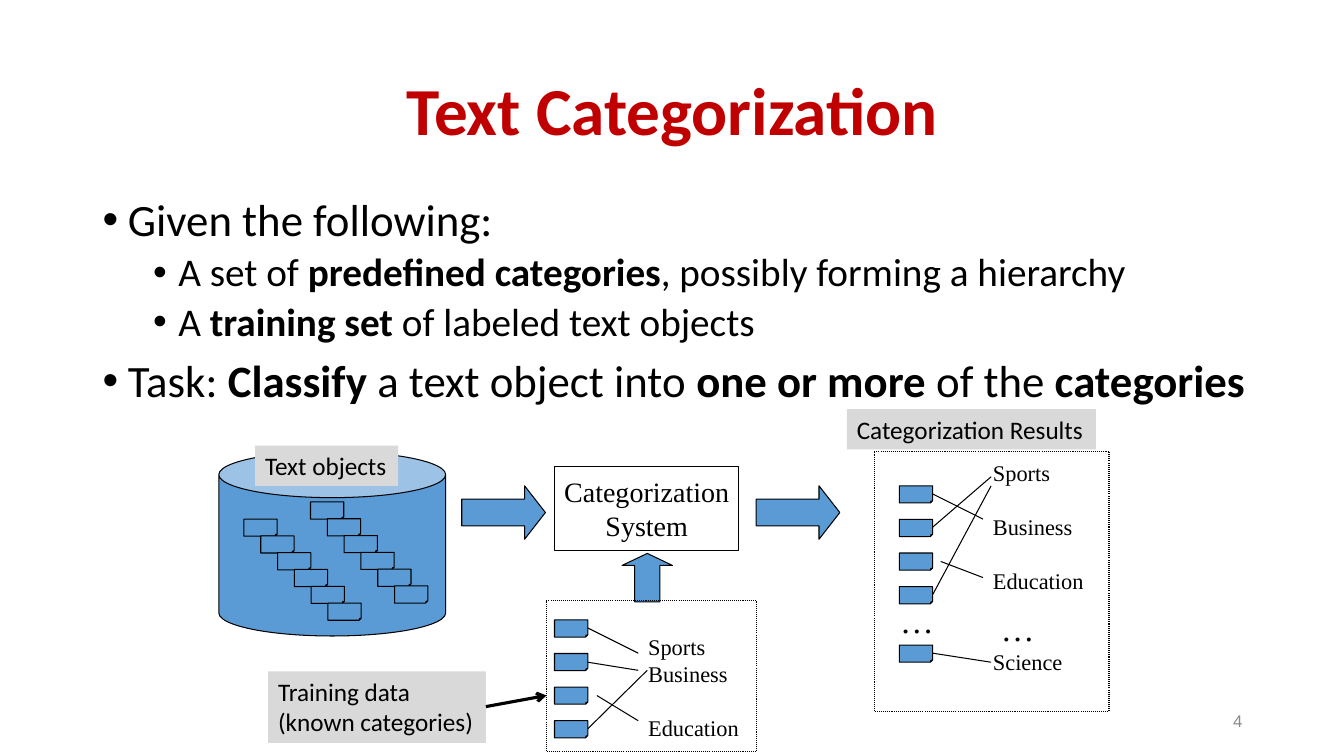
from lxml import etree
from pptx import Presentation
from pptx.dml.color import RGBColor
from pptx.enum.dml import MSO_LINE
from pptx.enum.shapes import MSO_CONNECTOR, MSO_SHAPE
from pptx.enum.text import MSO_ANCHOR, PP_ALIGN
from pptx.oxml.ns import qn
from pptx.util import Inches, Pt

CAN = MSO_SHAPE.CAN
DOCUMENT = MSO_SHAPE.FOLDED_CORNER
RECTANGLE = MSO_SHAPE.RECTANGLE
RIGHT_ARROW = MSO_SHAPE.RIGHT_ARROW
UP_ARROW = MSO_SHAPE.UP_ARROW
STRAIGHT = MSO_CONNECTOR.STRAIGHT
DOTTED = MSO_LINE.ROUND_DOT
CENTER, LEFT, RIGHT = PP_ALIGN.CENTER, PP_ALIGN.LEFT, PP_ALIGN.RIGHT
TOP, MIDDLE = MSO_ANCHOR.TOP, MSO_ANCHOR.MIDDLE

BLACK, BLUE, GREY, RED, PALE = "000000", "5B9BD5", "898989", "C00000", "D9D9D9"
SERIF = "Times New Roman"
SERIF_LINE = 1.21


def color(value):
    return RGBColor.from_string(value)


def set_values(target, values):
    for name, value in values.items():
        setattr(target, name, value)


def add_spans(para, text, size, font="Calibri", ink=BLACK, bold=False):
    for index, piece in enumerate(text.split("*")):
        if piece:
            span = para.add_run()
            span.text = piece
            set_values(span.font, {"size": Pt(size), "name": font, "bold": bold or index % 2 == 1})
            span.font.color.rgb = color(ink)


def fill_text(box, lines, size, wrap=False, anchor=TOP, para_values=None, **font_values):
    frame = box.text_frame
    set_values(frame, {"word_wrap": wrap, "vertical_anchor": anchor})
    for index, line in enumerate(lines):
        para = frame.paragraphs[0] if index == 0 else frame.add_paragraph()
        set_values(para, {"alignment": LEFT, **(para_values or {})})
        add_spans(para, line, size, **font_values)
    return frame


def add_text(page, bounds, lines, size, **options):
    box = page.shapes.add_textbox(*map(Inches, bounds))
    return fill_text(box, lines, size, **options)


def add_bullets(page, bounds, items):
    frame = page.shapes.add_textbox(*map(Inches, bounds)).text_frame
    frame.word_wrap = True
    for index, (level, text) in enumerate(items):
        para = frame.paragraphs[0] if index == 0 else frame.add_paragraph()
        set_values(para, {"level": level, "line_spacing": 0.9, "space_before": Pt(10 - 5 * level)})
        properties = para._p.get_or_add_pPr()
        properties.set("marL", str(Inches(0.25 + 0.5 * level)))
        properties.set("indent", str(Inches(-0.25)))
        etree.SubElement(properties, qn("a:buFont")).set("typeface", "Arial")
        etree.SubElement(properties, qn("a:buChar")).set("char", "•")
        add_spans(para, text, 32 - 4 * level)


def set_adjustments(shape, adjustments):
    guides = shape._element.spPr.find(qn("a:prstGeom")).find(qn("a:avLst"))
    for guide in list(guides):
        guides.remove(guide)
    for name, value in adjustments.items():
        guide = etree.SubElement(guides, qn("a:gd"))
        guide.set("name", name)
        guide.set("fmla", f"val {round(value * 100000)}")


def add_shape(page, kind, bounds, fill=BLUE, line=BLACK, dash=None, adjustments=None):
    shape = page.shapes.add_shape(kind, *map(Inches, bounds))
    shape.shadow.inherit = False
    if adjustments:
        set_adjustments(shape, adjustments)
    if fill:
        shape.fill.solid()
        shape.fill.fore_color.rgb = color(fill)
    else:
        shape.fill.background()
    if line:
        shape.line.color.rgb = color(line)
        set_values(shape.line, {"width": Pt(0.75), "dash_style": dash})
    else:
        shape.line.fill.background()
    return shape


def add_document(page, left, top):
    add_shape(page, DOCUMENT, (left, top, 0.33, 0.17), adjustments={"adj": 0.125})


def add_label(page, bounds, lines):
    fill_text(add_shape(page, RECTANGLE, bounds, PALE, None), lines, 18)


def add_line(page, start, end, width=0.75, arrow=False):
    line = page.shapes.add_connector(STRAIGHT, *map(Inches, start + end))
    line.line.color.rgb = color(BLACK)
    line.line.width = Pt(width)
    if arrow:
        etree.SubElement(line.line._get_or_add_ln(), qn("a:tailEnd")).set("type", "arrow")
    etree.SubElement(line._element.spPr, qn("a:effectLst"))


def add_categories(page, bounds, names, skipped_lines):
    height = 16 * SERIF_LINE
    frame = add_text(page, bounds, names, 16, font=SERIF, para_values={"line_spacing": Pt(height)})
    for para, skipped in zip(frame.paragraphs, skipped_lines):
        para.space_before = Pt(skipped * height)


def add_collection(page):
    add_shape(page, CAN, (2.17, 4.48, 2.25, 1.83), adjustments={"adj": 0.25})
    for left, top in ((2.42, 5.15), (3.08, 4.98)):
        for step in range(6):
            add_document(page, left + step / 6, top + step / 6)
    add_label(page, (2.53, 4.42, 1.42, 0.4), ["Text objects"])


def add_system(page):
    system = add_shape(page, RECTANGLE, (5.5, 4.63, 1.83, 0.83), None)
    fill_text(system, ["Categorization", "System"], 20, anchor=MIDDLE, font=SERIF,
              para_values={"alignment": CENTER, "line_spacing": Pt(20 * SERIF_LINE)})
    for left in (4.58, 7.5):
        add_shape(page, RIGHT_ARROW, (left, 4.82, 0.83, 0.53),
                  adjustments={"adj1": 0.5, "adj2": 0.39})
    add_shape(page, UP_ARROW, (6.17, 5.49, 0.5, 0.48), adjustments={"adj1": 0.5, "adj2": 0.25})


def add_results(page):
    add_shape(page, RECTANGLE, (8.67, 4.48, 2.33, 2.58), None, dash=DOTTED)
    for top in [4.82 + row / 3 for row in range(4)] + [6.4]:
        add_document(page, 8.92, top)
    add_categories(page, (9.75, 4.5, 1.1, 2.77),
                   ["Sports", "Business", "Education", "Science"], [0, 1, 1, 2])
    for left, top in ((8.83, 5.9), (9.83, 5.98)):
        add_text(page, (left, top, 0.53, 0.5), ["…"], 24, font=SERIF,
                 para_values={"line_spacing": Pt(24 * SERIF_LINE)})
    for start, end in (((9.25, 4.9), (9.75, 5.15)), ((9.25, 5.23), (9.83, 4.73)),
                       ((9.25, 5.9), (9.83, 4.82)), ((9.33, 5.57), (9.75, 5.73)),
                       ((9.25, 6.48), (9.83, 6.57))):
        add_line(page, start, end)
    add_label(page, (8.4, 4.06, 2.47, 0.4), ["Categorization Results"])


def add_training(page):
    add_shape(page, RECTANGLE, (5.42, 5.96, 2.08, 1.5), None, dash=DOTTED)
    for row in range(4):
        add_document(page, 5.5, 6.15 + row / 3)
    add_categories(page, (6.33, 6.23, 1.11, 1.18), ["Sports", "Business", "Education"], [0, 0, 1])
    for start, end in (((5.83, 6.23), (6.33, 6.48)), ((5.83, 6.57), (6.33, 6.65)),
                       ((5.83, 7.23), (6.42, 6.65)), ((5.92, 6.9), (6.33, 7.15))):
        add_line(page, start, end)
    add_label(page, (2.66, 6.66, 2.16, 0.71), ["Training data", "(known categories)"])
    add_line(page, (4.82, 7.01), (5.42, 6.9), 2.25, arrow=True)


def main():
    deck = Presentation()
    set_values(deck, {"slide_width": Inches(13.33), "slide_height": Inches(7.5)})
    page = deck.slides.add_slide(deck.slide_layouts[6])
    add_text(page, (0.92, 0.4, 11.5, 1.45), ["Text Categorization"], 48, wrap=True, anchor=MIDDLE,
             ink=RED, bold=True, para_values={"alignment": CENTER, "line_spacing": 0.9})
    add_bullets(page, (0.92, 1.91, 11.89, 4.76), [
        (0, "Given the following:"),
        (1, "A set of *predefined categories*, possibly forming a hierarchy"),
        (1, "A *training set *of labeled text objects"),
        (0, "Task: *Classify* a text object into *one or more *of the *categories*"),
    ])
    add_text(page, (9.42, 6.95, 3, 0.4), ["4"], 12, wrap=True, anchor=MIDDLE,
             font="Arial", ink=GREY, para_values={"alignment": RIGHT})
    add_collection(page)
    add_system(page)
    add_results(page)
    add_training(page)
    deck.save("out.pptx")


if __name__ == "__main__":
    main()
